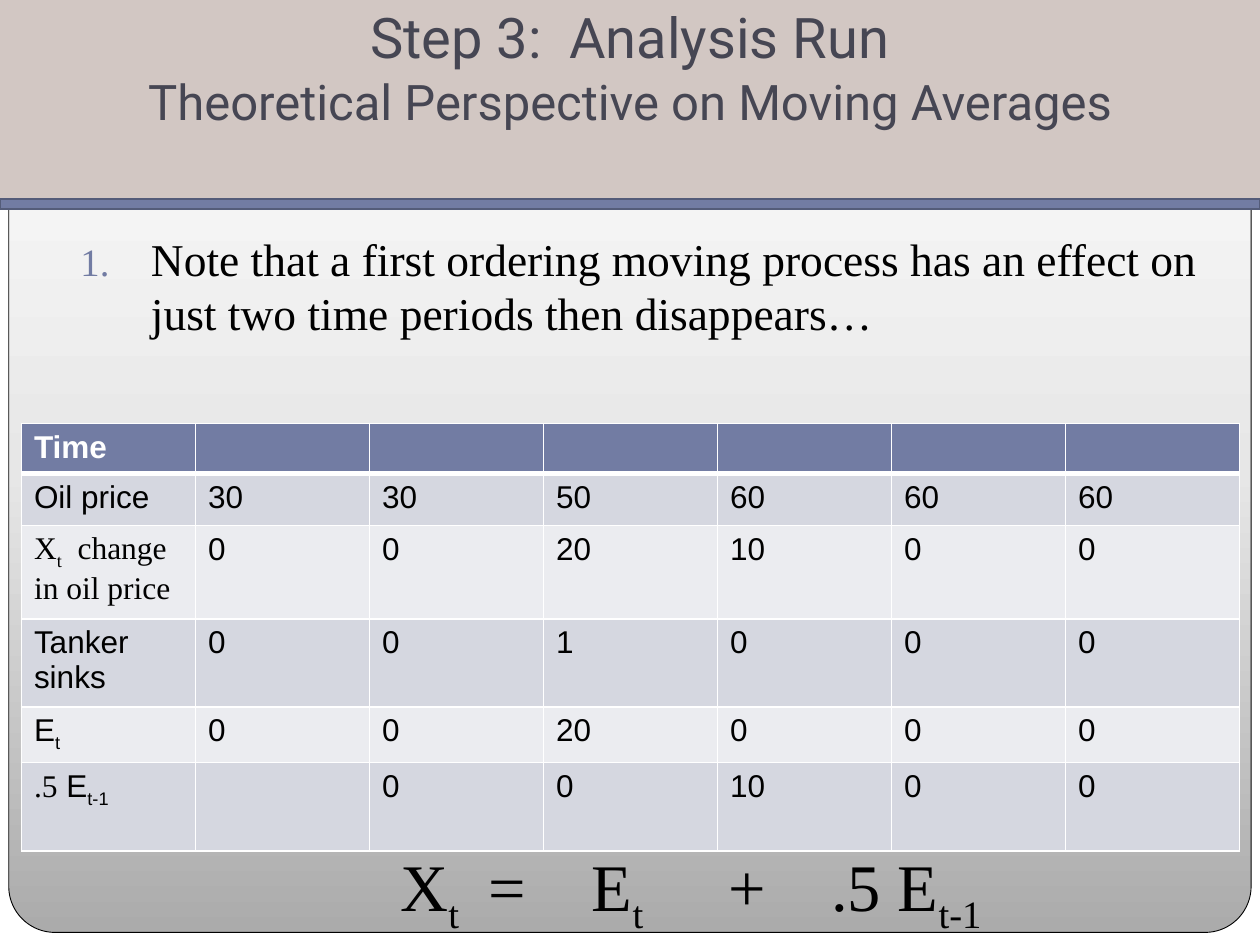
from dataclasses import dataclass

from lxml import etree
from pptx import Presentation
from pptx.dml.color import RGBColor
from pptx.enum import shapes, text
from pptx.oxml.ns import qn
from pptx.util import Inches, Pt


@dataclass(frozen=True)
class Theme:
    serif: str = "Times New Roman"
    sans: str = "Arial"
    heading: str = "Roboto"
    white: str = "FFFFFF"
    black: str = "000000"
    title: str = "464653"
    banner: str = "D2C7C3"
    accent: str = "727CA3"
    accent_line: str = "545C79"
    band: tuple = ("EBECF0", "D5D7E0")
    gradient: tuple = ((0, "ABABAB"), (50, "E7E7E7"), (100, "FFFFFF"))
    title_size: int = 32
    subtitle_size: int = 28
    body_size: int = 26
    formula_size: int = 38
    table_size: int = 18


T = Theme()

# A "_" run marker switches the following piece to subscript
TABLE_ROWS = [
    (0.40, [("Time", T.sans)], [""] * 6),
    (0.41, [("Oil price", T.sans)], [30, 30, 50, 60, 60, 60]),
    (0.70, [("X", T.serif), ("_t", T.serif), ("  change in oil price", T.serif)],
     [0, 0, 20, 10, 0, 0]),
    (0.66, [("Tanker sinks", T.sans)], [0, 0, 1, 0, 0, 0]),
    (0.42, [("E", T.sans), ("_t", T.sans)], [0, 0, 20, 0, 0, 0]),
    (0.70, [(".5", T.serif), (" E", T.sans), ("_t-1", T.sans)],
     ["", 0, 0, 10, 0, 0]),
]
FORMULA = ["\tX", "_t", "\t=\tE", "_t", "\t+\t.5 E", "_t-1"]
FORMULA_TABS = [2.62, 3.32, 4.14, 5.22, 6.04]


def rgb(value):
    return RGBColor.from_string(value)


def add_run(p, content, font=T.serif, size=T.body_size, color=T.black, bold=False):
    r = p.add_run()
    r.text = content.removeprefix("_")
    r.font.name, r.font.size, r.font.bold = font, Pt(size), bold
    r.font.color.rgb = rgb(color)
    if content.startswith("_"):
        r.font._element.set("baseline", "-25000")
    return r


def add_box(s, left, top, width, height, inset_top):
    tf = s.shapes.add_textbox(*map(Inches, (left, top, width, height))).text_frame
    tf.word_wrap = True
    tf.margin_top = Inches(inset_top)
    return tf.paragraphs[0]


def add_block(s, kind, left, top, width, height, fill=None, line=None, weight=1):
    sp = s.shapes.add_shape(kind, *map(Inches, (left, top, width, height)))
    sp.shadow.inherit = False
    if fill:
        sp.fill.solid()
        sp.fill.fore_color.rgb = rgb(fill)
    if line:
        sp.line.color.rgb = rgb(line)
        sp.line.width = Pt(weight)
    else:
        sp.line.fill.background()
    return sp


def set_gradient(fill, element):
    fill.gradient()
    fill.gradient_angle = 90
    stops = element.find(".//" + qn("a:gsLst"))
    for old in list(stops):
        stops.remove(old)
    for position, color in T.gradient:
        gs = etree.SubElement(stops, qn("a:gs"), pos=str(position * 1000))
        etree.SubElement(gs, qn("a:srgbClr"), val=color)


def add_background(s):
    rect = shapes.MSO_SHAPE.RECTANGLE
    set_gradient(s.background.fill, s._element.find(".//" + qn("p:bg")))
    add_block(s, rect, 0, 0, 10, 7.5, T.white)
    panel = add_block(s, shapes.MSO_SHAPE.ROUNDED_RECTANGLE,
                      0.07, 0.08, 9.86, 7.32, line=T.black, weight=0.5)
    panel.adjustments[0] = 0.05
    set_gradient(panel.fill, panel._element)


def add_title(s):
    rect = shapes.MSO_SHAPE.RECTANGLE
    tf = add_block(s, rect, 0, 0, 10, 1.58, T.banner).text_frame
    tf.vertical_anchor = text.MSO_ANCHOR.TOP
    tf.margin_top = Inches(0.02)
    lines = [("Step 3:  Analysis Run", T.title_size),
             ("Theoretical Perspective on Moving Averages", T.subtitle_size)]
    for i, (content, size) in enumerate(lines):
        p = tf.add_paragraph() if i else tf.paragraphs[0]
        p.alignment = text.PP_ALIGN.CENTER
        p.space_before = Pt(i)
        add_run(p, content, font=T.heading, size=size, color=T.title)
    add_block(s, rect, 0, 1.58, 10, 0.08, T.accent, T.accent_line)


def add_note(s):
    p = add_box(s, 0.54, 1.75, 9.5, 0.83, 0.08)
    add_run(p, "Note that a first ordering moving process has an effect on "
               "just two time periods then disappears…")
    # Hanging number in the accent colour
    pPr = p._p.get_or_add_pPr()
    indent = Inches(0.56)
    pPr.set("marL", str(indent))
    pPr.set("indent", str(-indent))
    color = etree.SubElement(pPr, qn("a:buClr"))
    etree.SubElement(color, qn("a:srgbClr"), val=T.accent)
    etree.SubElement(pPr, qn("a:buSzPct"), val="85000")
    etree.SubElement(pPr, qn("a:buFont"), typeface=T.serif)
    etree.SubElement(pPr, qn("a:buAutoNum"), type="arabicPeriod")


def add_formula(s):
    p = add_box(s, 0.46, 6.17, 9.5, 1.17, 0.54)
    tabs = etree.SubElement(p._p.get_or_add_pPr(), qn("a:tabLst"))
    for stop in FORMULA_TABS:
        etree.SubElement(tabs, qn("a:tab"), pos=str(Inches(stop)), algn="l")
    for piece in FORMULA:
        add_run(p, piece, size=T.formula_size)


def style_cell(cell, fill, top, bottom):
    # Borders come before the fill in the cell properties
    tcPr = cell._tc.get_or_add_tcPr()
    for side, weight in (("L", 1), ("R", 1), ("T", top), ("B", bottom)):
        ln = etree.SubElement(tcPr, qn("a:ln" + side), w=str(Pt(weight)))
        solid = etree.SubElement(ln, qn("a:solidFill"))
        etree.SubElement(solid, qn("a:srgbClr"), val=T.white)
    cell.fill.solid()
    cell.fill.fore_color.rgb = rgb(fill)


def add_data_table(s):
    height = sum(row[0] for row in TABLE_ROWS)
    table = s.shapes.add_table(len(TABLE_ROWS), 7, Inches(0.17), Inches(3.36),
                               Inches(9.67), Inches(height)).table
    table.first_row = table.horz_banding = False
    for i, (row_height, label, values) in enumerate(TABLE_ROWS):
        header = i == 0
        table.rows[i].height = Inches(row_height)
        cells = [label] + [[(str(v), T.sans)] for v in values]
        for j, pieces in enumerate(cells):
            cell = table.cell(i, j)
            style_cell(cell, T.accent if header else T.band[i % 2],
                       3 if i == 1 else 1, 3 if header else 1)
            for content, font in pieces:
                if content:
                    add_run(cell.text_frame.paragraphs[0], content, font=font,
                            size=T.table_size, bold=header,
                            color=T.white if header else T.black)


def main():
    prs = Presentation()
    prs.slide_width, prs.slide_height = Inches(10), Inches(7.5)
    s = prs.slides.add_slide(prs.slide_layouts[6])
    add_background(s)
    add_title(s)
    add_formula(s)
    add_note(s)
    add_data_table(s)
    prs.save("out.pptx")


if __name__ == "__main__":
    main()
